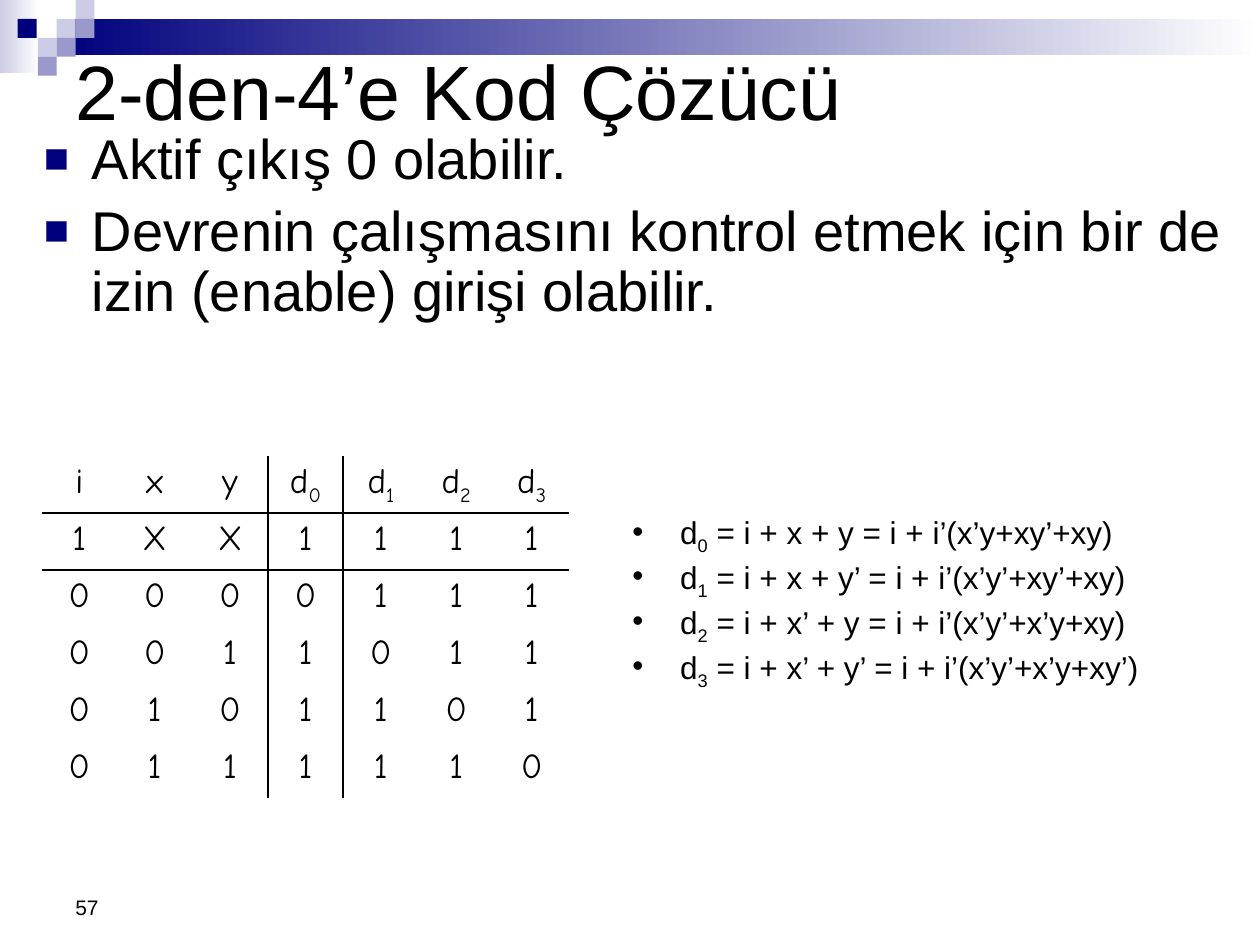
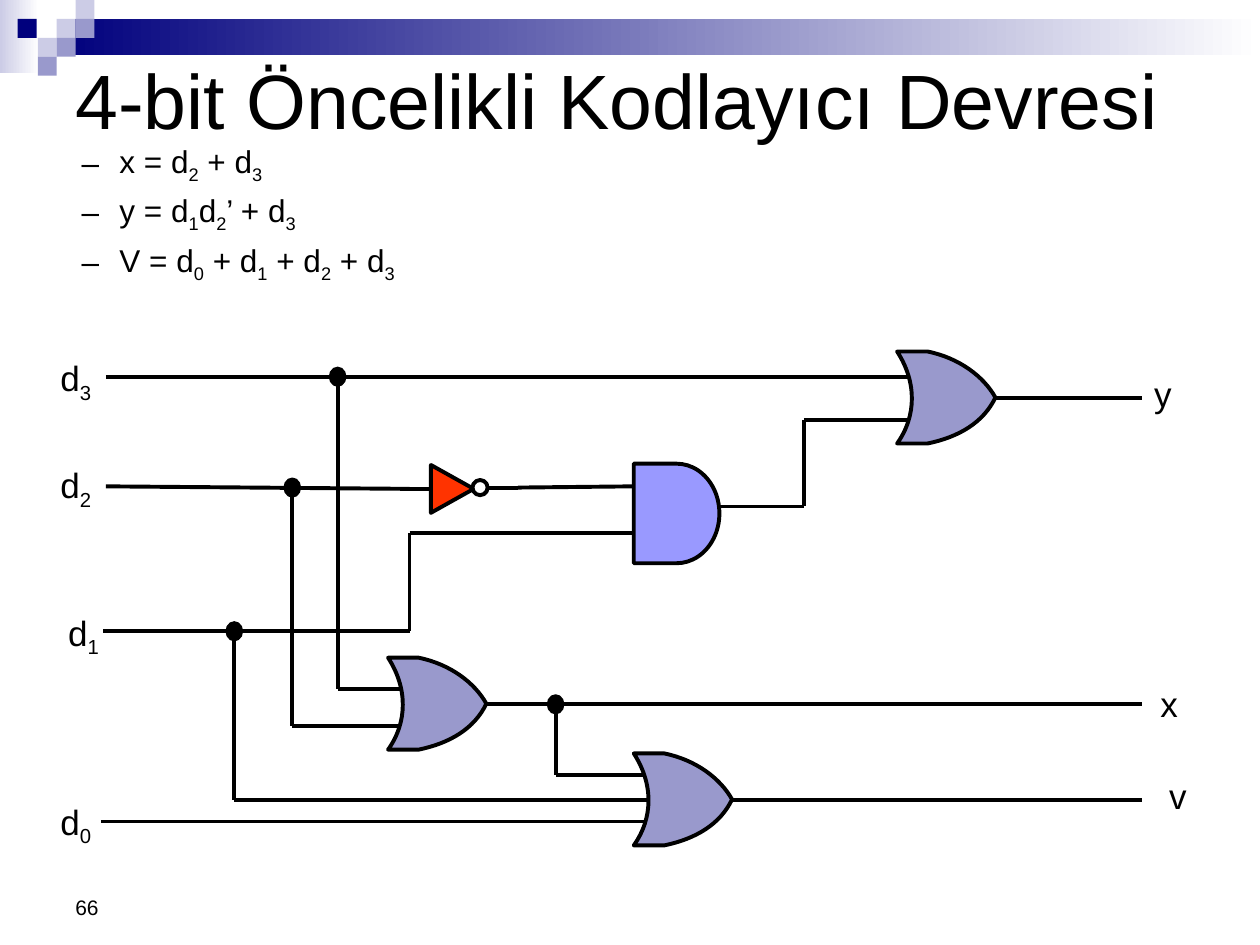
from lxml import etree
from pptx import Presentation
from pptx.dml.color import RGBColor
from pptx.enum import shapes, text
from pptx.oxml import ns
from pptx.util import Inches, Pt

NAVY = RGBColor(0x00, 0x00, 0x7D)
PERIWINKLE = RGBColor(0x99, 0x99, 0xCC)
PALE = RGBColor(0xCC, 0xCC, 0xE6)
WHITE = RGBColor(0xFF, 0xFF, 0xFF)
BLACK = RGBColor(0x00, 0x00, 0x00)
AND_BLUE = RGBColor(0x99, 0x99, 0xFF)
NOT_RED = RGBColor(0xFF, 0x33, 0x00)
FONT, TABLE_FONT = "Arial", "Comic Neue"
GATE_LINE = 2.25
SHAPE = shapes.MSO_SHAPE
PLAIN_TABLE_STYLE = "{2D5ABB26-0587-4C30-8999-92F81FD0307C}"


# ---- Helpers ----
def add_xml(parent, tag, **attributes):
    return etree.SubElement(parent, ns.qn(tag), attributes)


def write_runs(paragraph, marked, size, font=FONT):
    """Write text in which "_" makes the next character a subscript."""
    first, *others = marked.split("_")
    pieces = [(first, False)]
    for other in others:
        pieces += [(other[0], True), (other[1:], False)]
    for piece, is_subscript in pieces:
        if not piece:
            continue
        run = paragraph.add_run()
        run.text = piece
        run.font.size, run.font.name = Pt(size), font
        run.font.color.rgb = BLACK
        if is_subscript:
            run._r.get_or_add_rPr().set("baseline", "-25000")


def add_text(slide, box, marked, size, anchor=text.MSO_ANCHOR.TOP):
    frame = slide.shapes.add_textbox(*map(Inches, box)).text_frame
    frame.word_wrap = True
    frame.vertical_anchor = anchor
    write_runs(frame.paragraphs[0], marked, size)


def add_list(slide, box, items, size, bullet, indent,
             line_spacing=None, bullet_color=None, bullet_percent=100):
    frame = slide.shapes.add_textbox(*map(Inches, box)).text_frame
    frame.word_wrap = True
    for index, item in enumerate(items):
        paragraph = frame.paragraphs[0] if index == 0 else frame.add_paragraph()
        paragraph.line_spacing = line_spacing
        properties = paragraph._p.get_or_add_pPr()
        properties.set("marL", str(Inches(indent)))
        properties.set("indent", str(-Inches(indent)))
        if index:
            add_xml(add_xml(properties, "a:spcBef"), "a:spcPct", val="20000")
        if bullet_color is not None:
            add_xml(add_xml(properties, "a:buClr"), "a:srgbClr", val=str(bullet_color))
        add_xml(properties, "a:buSzPct", val=str(bullet_percent * 1000))
        add_xml(properties, "a:buFont", typeface=FONT)
        add_xml(properties, "a:buChar", char=bullet)
        write_runs(paragraph, item, size)


def paint(shape, fill, line_width=None):
    shape.shadow.inherit = False
    shape.fill.solid()
    shape.fill.fore_color.rgb = fill
    if line_width is None:
        shape.line.fill.background()
    else:
        shape.line.color.rgb = BLACK
        shape.line.width = Pt(line_width)
    return shape


def add_part(slide, kind, box, fill, line_width=None):
    return paint(slide.shapes.add_shape(kind, *map(Inches, box)), fill, line_width)


# ---- Shared frame of the slides ----
def add_header_band(slide):
    for box, start in (((0, 0, 0.31, 0.58), PALE), ((0.45, 0.15, 9.55, 0.29), NAVY)):
        fill = add_part(slide, SHAPE.RECTANGLE, box, start).fill
        fill.gradient()
        fill.gradient_angle = 0
        for stop, color, position in zip(fill.gradient_stops, (start, WHITE), (0, 1)):
            stop.color.rgb = color
            stop.position = position
    tile = 0.15
    for left, top, color in ((0.45, 0.15, PALE), (0.6, 0, PALE), (0.6, 0.15, PERIWINKLE),
                             (0.3, 0.3, PALE), (0.14, 0.15, NAVY),
                             (0.45, 0.3, PERIWINKLE), (0.3, 0.45, PERIWINKLE)):
        add_part(slide, SHAPE.RECTANGLE, (left, top, tile, tile), color)


def add_framed_slide(deck, title, title_box, number):
    slide = deck.slides.add_slide(deck.slide_layouts[6])
    add_header_band(slide)
    add_text(slide, (0.5, 6.83, 2.33, 0.52), number, 12, text.MSO_ANCHOR.BOTTOM)
    add_text(slide, title_box, title, 44, text.MSO_ANCHOR.MIDDLE)
    return slide


# ---- Truth table ----
def add_border(cell, side):
    line = add_xml(cell._tc.get_or_add_tcPr(), f"a:ln{side}", w=str(Pt(1)))
    add_xml(add_xml(line, "a:solidFill"), "a:srgbClr", val=str(BLACK))


def add_truth_table(slide, box, header, rows, input_count):
    grid = [header] + [list(row) for row in rows]
    table = slide.shapes.add_table(len(grid), len(header), *map(Inches, box)).table
    table.first_row = table.horz_banding = False
    table._tbl.tblPr.find(ns.qn("a:tableStyleId")).text = PLAIN_TABLE_STYLE
    for r, values in enumerate(grid):
        for c, value in enumerate(values):
            cell = table.cell(r, c)
            cell.margin_bottom = 0
            sides = {"L": c == input_count, "R": c == input_count - 1,
                     "T": r == 1, "B": r == 0}
            for side, is_ruled in sides.items():
                if is_ruled:
                    add_border(cell, side)
            cell.fill.background()
            paragraph = cell.text_frame.paragraphs[0]
            paragraph.alignment = text.PP_ALIGN.CENTER
            write_runs(paragraph, value, 20, TABLE_FONT)


# ---- Circuit parts ----
def add_or_gate(slide, left, top, width=0.78, height=0.73):
    def at(x, y):
        return Inches(x * width), Inches(y * height)

    # Corners after the tip, each with the control points of the curve to it
    tip = (1, 0.5)
    sides = [((0.31, 1), ((0.88, 0.77), (0.63, 0.93))),
             ((0, 1), None),
             ((0, 0), ((0.2, 0.7), (0.2, 0.33))),
             ((0.31, 0), None),
             (tip, ((0.63, 0.07), (0.88, 0.27)))]
    builder = slide.shapes.build_freeform(*at(*tip), scale=1.0)
    builder.add_line_segments([at(*corner) for corner, _ in sides], close=True)
    gate = builder.convert_to_shape(Inches(left), Inches(top))
    segments = list(gate._element.iter(ns.qn("a:lnTo")))
    for segment, (corner, controls) in zip(segments, sides):
        if controls:
            curve = etree.Element(ns.qn("a:cubicBezTo"))
            for x, y in map(lambda point: at(*point), (*controls, corner)):
                add_xml(curve, "a:pt", x=str(x), y=str(y))
            segment.getparent().replace(segment, curve)
    paint(gate, PERIWINKLE, GATE_LINE)


def add_inverter(slide, left, top):
    triangle = add_part(slide, SHAPE.FLOWCHART_EXTRACT, (left, top, 0.38, 0.34),
                        NOT_RED, GATE_LINE)
    triangle.rotation = 90
    add_part(slide, SHAPE.OVAL, (left + 0.35, top + 0.1, 0.12, 0.12), WHITE, GATE_LINE)


def add_wire(slide, corners):
    for start, end in zip(corners, corners[1:]):
        wire = slide.shapes.add_connector(shapes.MSO_CONNECTOR.STRAIGHT,
                                          *map(Inches, start + end))
        wire.line.color.rgb = BLACK
        wire.line.width = Pt(GATE_LINE)
        add_xml(wire._element.spPr, "a:effectLst")


def add_junction(slide, x, y, width=0.13, height=0.15):
    add_part(slide, SHAPE.OVAL, (x - width / 2, y - height / 2, width, height), BLACK, 0.75)


def add_signal_label(slide, left, top, signal, width):
    frame = slide.shapes.add_textbox(*map(Inches, (left, top, width, 0.33))).text_frame
    frame.word_wrap = False
    frame.margin_left = frame.margin_right = frame.margin_top = frame.margin_bottom = 0
    write_runs(frame.paragraphs[0], signal, 20)


def add_encoder_circuit(slide, left, top):
    """Draw the priority encoder with its upper left corner at (left, top)."""
    def at(x, y):
        return left + x, top + y

    wires = [
        [(0.36, 0.2), (6.73, 0.2)],                                # d3 to y gate
        [(0.36, 1.07), (2.77, 1.09)],                              # d2 to inverter
        [(2.7, 1.09), (2.95, 1.09)],
        [(3.38, 1.08), (3.63, 1.08), (4.55, 1.07)],                # inverter to AND
        [(0.34, 2.22), (2.77, 2.22), (2.77, 1.44), (4.55, 1.44)],  # d1 to AND
        [(5.23, 1.23), (5.9, 1.23), (5.9, 0.54), (6.73, 0.54)],    # AND to y gate
        [(0.32, 3.73), (4.77, 3.73)],                              # d0 to v gate
        [(2.2, 0.2), (2.2, 2.68), (2.7, 2.68)],                    # d3 to x gate
        [(1.84, 1.07), (1.84, 2.97), (2.77, 2.97)],                # d2 to x gate
        [(1.38, 2.22), (1.38, 3.56), (4.77, 3.56)],                # d1 to v gate
        [(3.38, 2.8), (3.93, 2.8), (3.93, 3.36), (4.77, 3.36)],    # x to v gate
        [(7.42, 0.37), (8.58, 0.37)],                              # outputs y, x, v
        [(3.93, 2.8), (8.58, 2.8)],
        [(5.33, 3.56), (8.58, 3.56)],
    ]
    for wire in wires:
        add_wire(slide, [at(*corner) for corner in wire])

    for gate in ((6.64, 0), (2.6, 2.43), (4.55, 3.19)):
        add_or_gate(slide, *at(*gate))
    add_part(slide, SHAPE.FLOWCHART_DELAY, (*at(4.55, 0.89), 0.68, 0.79),
             AND_BLUE, GATE_LINE)
    add_inverter(slide, *at(2.92, 0.92))

    for junction in ((2.2, 0.2), (1.84, 1.08), (1.38, 2.22), (3.93, 2.8)):
        add_junction(slide, *at(*junction))

    for x, y, signal, width in ((0, 0.04, "d_3", 0.27), (0, 0.89, "d_2", 0.27),
                                (0.06, 2.06, "d_1", 0.27), (0, 3.56, "d_0", 0.27),
                                (8.68, 0.17, "y", 0.14), (8.73, 2.63, "x", 0.16),
                                (8.8, 3.36, "v", 0.14)):
        add_signal_label(slide, *at(x, y), signal, width)


# ---- Slides ----
def build_decoder_slide(deck):
    slide = add_framed_slide(deck, "2-den-4’e Kod Çözücü", (0.5, 0.28, 9, 0.87), "57")
    add_list(slide, (0.25, 0.99, 9.58, 2.28),
             ["Aktif çıkış 0 olabilir.",
              "Devrenin çalışmasını kontrol etmek için bir de izin (enable) girişi olabilir."],
             32, "■", 0.38, 0.9, NAVY, 75)
    add_truth_table(slide, (0.33, 3.62, 4.19, 2.71),
                    ["i", "x", "y", "d_0", "d_1", "d_2", "d_3"],
                    ["1XX1111", "0000111", "0011011", "0101101", "0111110"], 3)
    add_list(slide, (4.92, 4.03, 4.72, 2.22),
             ["d_0 = i + x + y = i + i’(x’y+xy’+xy)",
              "d_1 = i + x + y’ = i + i’(x’y’+xy’+xy)",
              "d_2 = i + x’ + y = i + i’(x’y’+x’y+xy)",
              "d_3 = i + x’ + y’ = i + i’(x’y’+x’y+xy’)"],
             18, "•", 0.38, 0.9)


def build_encoder_slide(deck):
    slide = add_framed_slide(deck, "4-bit Öncelikli Kodlayıcı Devresi",
                             (0.5, 0.5, 9, 0.57), "66")
    add_encoder_circuit(slide, 0.48, 2.79)
    add_list(slide, (0.55, 1.08, 3.4, 1.46),
             ["x = d_2 + d_3", "y = d_1d_2’ + d_3", "V = d_0 + d_1 + d_2 + d_3"],
             18, "–", 0.3)


def main():
    deck = Presentation()
    deck.slide_width, deck.slide_height = Inches(10), Inches(7.5)
    build_decoder_slide(deck)
    build_encoder_slide(deck)
    deck.save("out.pptx")


if __name__ == "__main__":
    main()
